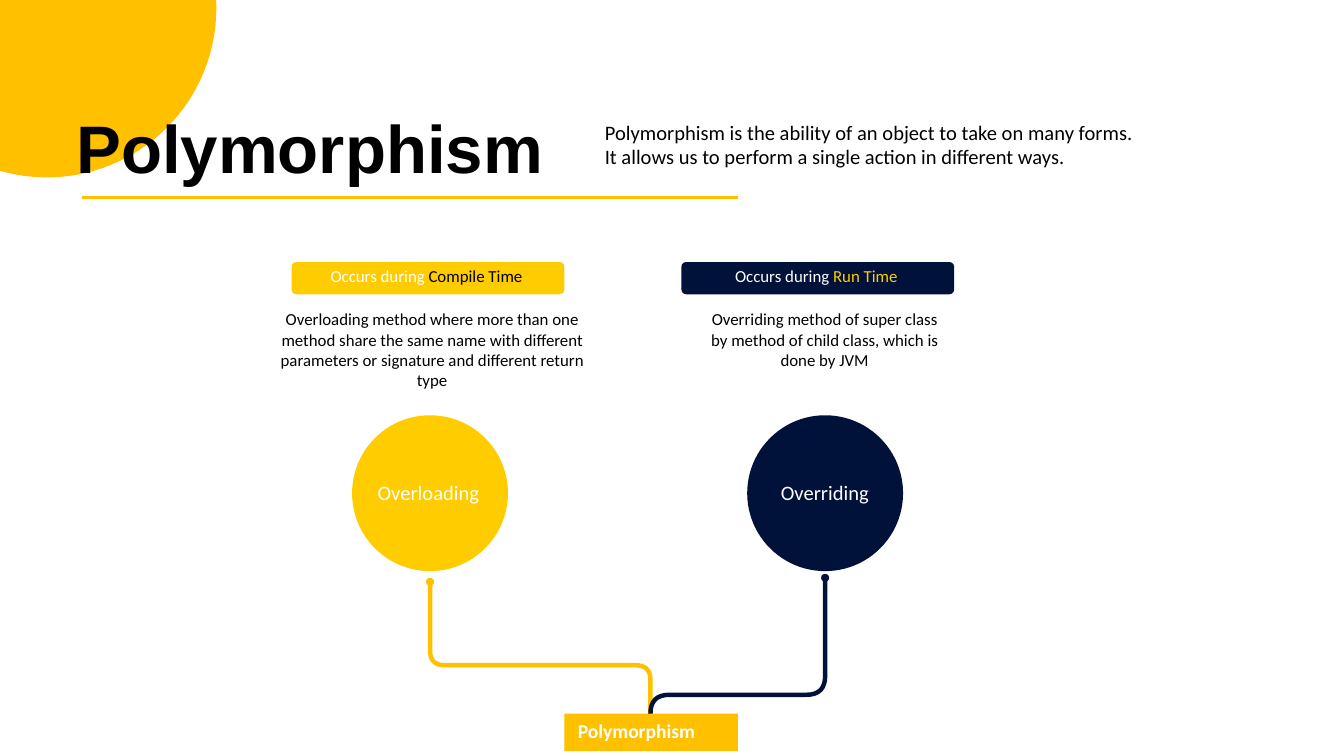
import math
import lxml.etree
import pptx
import pptx.util
import pptx.dml.color
import pptx.enum.shapes
import pptx.enum.text
import pptx.oxml.ns

W = 10
H = W * 9 / 16
UNIT = W / 100

THEME = {
    "amber": "FFC000", "yellow": "FFCC00", "navy": "001239",
    "black": "000000", "white": "FFFFFF",
    "title": {"name": "Arial", "size": 36, "bold": True},
    "lead": {"name": "Calibri", "size": 11, "bold": False},
    "note": {"name": "Calibri", "size": 9, "bold": False},
    "root": {"name": "Calibri", "size": 10.5, "bold": True},
    "rule": 1.5, "branch": 2.37,
}

HEADINGS = [
    ("title", (5.6, 7.8, 35, 6.3), ["Polymorphism"]),
    ("lead", (44.9, 8.8, 39.5, 4), [
        "Polymorphism is the ability of an object to take on many forms.",
        "It allows us to perform a single action in different ways.",
    ]),
]

BRANCHES = [
    {
        "name": "Overloading", "name_box": (28, 7.9), "color": "yellow",
        "badge": 21.7, "time": ("Compile Time", "black"), "time_box": (24.5, 14.6),
        "note": "Overloading method where more than one method share the same name "
                "with different parameters or signature and different return type",
        "note_box": (20.6, 23, 6.3),
        "line": "amber", "center": 32, "dot": 43.3, "bend": 49.5, "radius": 1.1,
    },
    {
        "name": "Overriding", "name_box": (58, 6.9), "color": "navy",
        "badge": 50.7, "time": ("Run Time", "yellow"), "time_box": (54.6, 12.4),
        "note": "Overriding method of super class by method of child class, "
                "which is done by JVM",
        "note_box": (52.7, 17.2, 4.8),
        "line": "navy", "center": 61.4, "dot": 43, "bend": 51.7, "radius": 1.4,
    },
]

BADGE = (19.5, 20.3, 2.4)
CIRCLE = (36.7, 5.8)
DOT_RADIUS = 0.3
ROOT = {"text": "Polymorphism", "box": (42, 53.1, 12.9, 2.8),
        "text_box": (42.9, 53.4, 9.1, 2), "join": (48.4, 55.5)}
RULE = (6.1, 14.7, 54.9)
CORNER_DISC = (3.5, 0.6, 12.6)

SHAPES = pptx.enum.shapes.MSO_SHAPE
ALIGN = pptx.enum.text.PP_ALIGN

prs = pptx.Presentation()
prs.slide_width, prs.slide_height = pptx.util.Inches(W), pptx.util.Inches(H)
s = prs.slides.add_slide(prs.slide_layouts[6])


def grid(*values):
    return [pptx.util.Inches(v * UNIT) for v in values]


def rgb(key):
    return pptx.dml.color.RGBColor.from_string(THEME[key])


def fill(sp, color):
    sp.shadow.inherit = False
    sp.fill.solid()
    sp.fill.fore_color.rgb = rgb(color)
    sp.line.fill.background()


def stroke(sp, color, width):
    sp.line.color.rgb = rgb(color)
    sp.line.width = pptx.util.Pt(THEME[width])


def preset(kind, box, color):
    sp = s.shapes.add_shape(kind, *grid(*box))
    fill(sp, color)
    return sp


def disc(x, y, radius, color):
    preset(SHAPES.OVAL, (x - radius, y - radius, 2 * radius, 2 * radius), color)


def outline(points, close):
    start, *rest = [grid(*point) for point in points]
    builder = s.shapes.build_freeform(*start, scale=1.0)
    builder.add_line_segments(rest, close=close)
    return builder.convert_to_shape()


def text(role, box, paragraphs, align=ALIGN.LEFT):
    tf = s.shapes.add_textbox(*grid(*box)).text_frame
    frame = {"word_wrap": True, "margin_left": pptx.util.Inches(0.01),
             "margin_top": pptx.util.Inches(0.01), "margin_right": 0, "margin_bottom": 0}
    for key, value in frame.items():
        setattr(tf, key, value)
    for i, runs in enumerate(paragraphs):
        p = tf.paragraphs[0] if i == 0 else tf.add_paragraph()
        p.alignment = align
        for words, color in runs:
            r = p.add_run()
            r.text = words
            for key, value in THEME[role].items():
                setattr(r.font, key, pptx.util.Pt(value) if key == "size" else value)
            r.font.color.rgb = rgb(color)


def rounded(points, radius, steps=8):
    path = [points[0]]
    for before, corner, after in zip(points, points[1:], points[2:]):
        a, b = [
            [c + (e - c) * radius / math.dist(corner, end) for c, e in zip(corner, end)]
            for end in (before, after)
        ]
        for t in (i / steps for i in range(steps + 1)):
            path.append([(1 - t) ** 2 * m + 2 * t * (1 - t) * c + t * t * n
                         for m, c, n in zip(a, corner, b)])
    return path + [points[-1]]


cx, cy, radius = CORNER_DISC
first, last = math.asin(-cy / radius), math.acos(-cx / radius)
angles = [first + (last - first) * i / 40 for i in range(41)]
arc = [(cx + radius * math.cos(a), cy + radius * math.sin(a)) for a in angles]
fill(outline([(0, 0)] + arc, True), "amber")

for role, box, lines in HEADINGS:
    text(role, box, [[(line, "black")] for line in lines])

join_x, join_y = ROOT["join"]
for b in BRANCHES:
    x, bend = b["center"], b["bend"]
    corners = [(x, b["dot"]), (x, bend), (join_x, bend), (join_x, join_y)]
    sp = outline(rounded(corners, b["radius"]), False)
    sp.shadow.inherit = False
    sp.fill.background()
    stroke(sp, b["line"], "branch")
    disc(x, b["dot"], DOT_RADIUS, b["line"])

    disc(x, CIRCLE[0], CIRCLE[1], b["color"])
    left, width = b["name_box"]
    text("lead", (left, 35.6, width, 2.1), [[(b["name"], "white")]])

    top, width, height = BADGE
    sp = preset(SHAPES.ROUNDED_RECTANGLE, (b["badge"], top, width, height), b["color"])
    sp.adjustments[0] = 0.15
    left, width = b["time_box"]
    text("note", (left, 19.7, width, 1.8), [[("Occurs during ", "white"), b["time"]]])

    left, width, height = b["note_box"]
    text("note", (left, 22.9, width, height), [[(b["note"], "black")]], ALIGN.CENTER)

preset(SHAPES.RECTANGLE, ROOT["box"], "amber")
text("root", ROOT["text_box"], [[(ROOT["text"], "white")]])

x1, y, x2 = RULE
rule = s.shapes.add_connector(pptx.enum.shapes.MSO_CONNECTOR.STRAIGHT, *grid(x1, y, x2, y))
stroke(rule, "amber", "rule")
lxml.etree.SubElement(rule._element.spPr, pptx.oxml.ns.qn("a:effectLst"))

prs.save("out.pptx")
